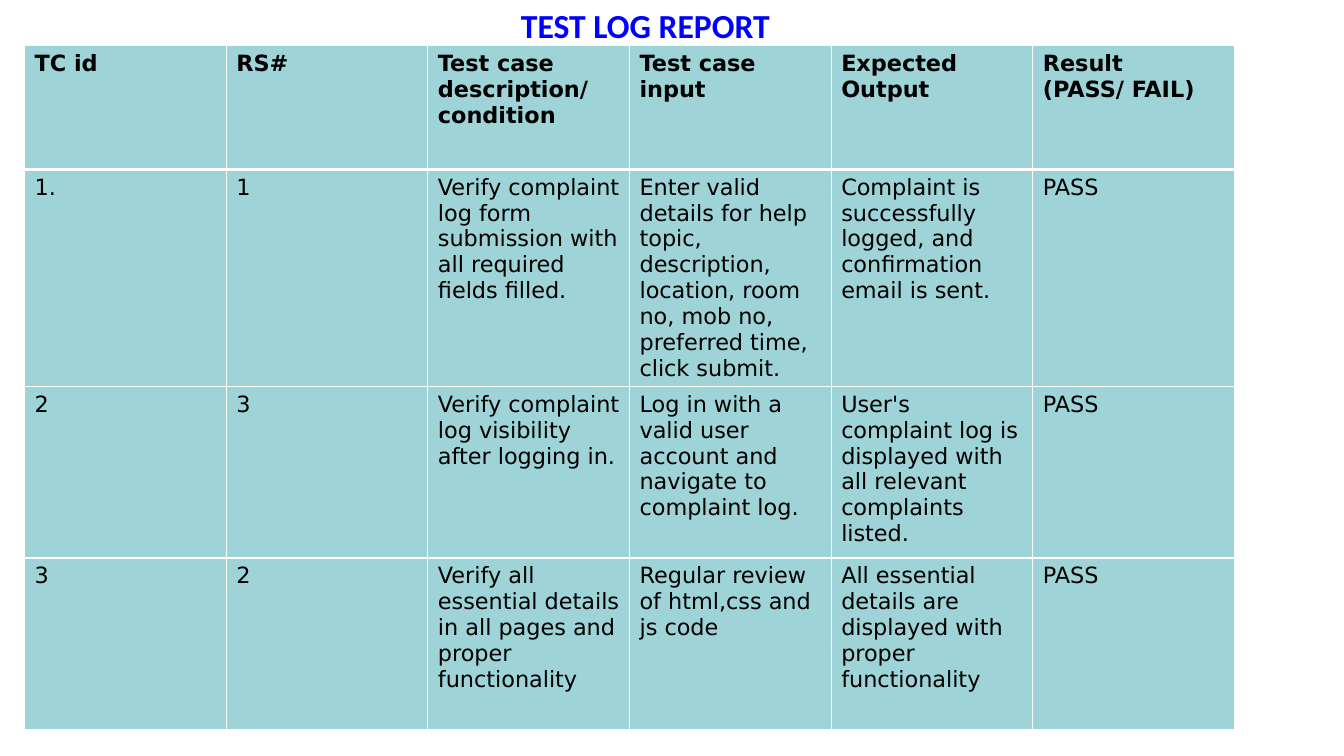
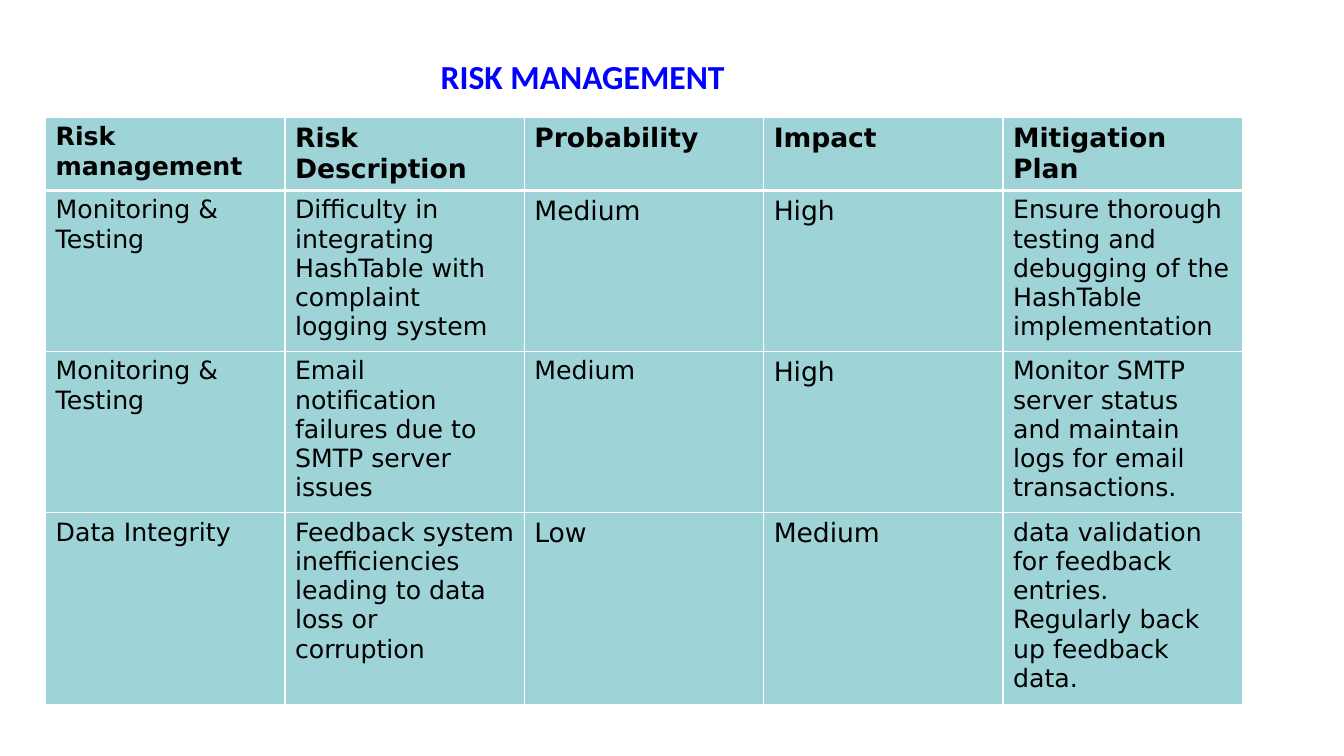
from lxml.etree import SubElement
from pptx import Presentation
from pptx.dml.color import RGBColor
from pptx.enum.text import MSO_ANCHOR, MSO_AUTO_SIZE, PP_ALIGN
from pptx.oxml.ns import qn
from pptx.util import Cm, Pt


def rgb(color):
    """Turn a hex string into a colour."""
    return RGBColor.from_string(color)


class Deck:
    """Hold the shared style and the current slide."""

    BLUE, TEAL, WHITE, BLACK = "0000FF", "9ED3D7", "FFFFFF", "000000"
    TITLE_FONT, TABLE_FONT = "Calibri", "DejaVu Sans"

    def __init__(self):
        """Start a widescreen presentation."""
        self.prs = Presentation()
        self.prs.slide_width, self.prs.slide_height = Cm(33.86), Cm(19.05)

    def set_font(self, p, name, size, color, bold):
        """Format all runs of a paragraph."""
        font = p.font
        font.name, font.size, font.bold = name, Pt(size), bold
        font.color.rgb = rgb(color)

    def slide(self, title, box, align):
        """Add a slide with its title."""
        self.s = self.prs.slides.add_slide(self.prs.slide_layouts[5])
        sp = self.s.shapes.title
        sp.left, sp.top, sp.width, sp.height = (Cm(v) for v in box)
        tf = sp.text_frame
        tf.text = title
        tf.word_wrap = True
        tf.auto_size = MSO_AUTO_SIZE.NONE
        tf.vertical_anchor = MSO_ANCHOR.TOP
        p = tf.paragraphs[0]
        p.alignment = align
        self.set_font(p, self.TITLE_FONT, 24, self.BLUE, True)

    def border(self, cell, side, width):
        """Draw one side of a cell."""
        ln = SubElement(cell._tc.get_or_add_tcPr(), qn(f"a:ln{side}"), w=str(Pt(width)))
        SubElement(SubElement(ln, qn("a:solidFill")), qn("a:srgbClr"), val=self.WHITE)

    def table(self, left, top, col_width, heights, rows, size, larger=()):
        """Add a table; cells listed in larger are one point bigger."""
        n = len(rows[0])
        tbl = self.s.shapes.add_table(len(rows), n, Cm(left), Cm(top),
                                      Cm(col_width * n), Cm(sum(heights))).table
        tbl.horz_banding = False
        for col in tbl.columns:
            col.width = Cm(col_width)
        for i, (row, height) in enumerate(zip(rows, heights)):
            tbl.rows[i].height = Cm(height)
            for j, text in enumerate(row):
                cell = tbl.cell(i, j)
                cell.text = text
                for p in cell.text_frame.paragraphs:
                    self.set_font(p, self.TABLE_FONT, size + ((i, j) in larger),
                                  self.BLACK, i == 0)
                for side in "LRTB":
                    under_header = (i, side) in ((0, "B"), (1, "T"))
                    self.border(cell, side, 3 if under_header else 1)
                cell.fill.solid()
                cell.fill.fore_color.rgb = rgb(self.TEAL)


TESTS = [
    ["TC id", "RS#", "Test case description/\ncondition", "Test case input",
     "Expected\nOutput", "Result\n(PASS/ FAIL)"],
    ["1.", "1", "Verify complaint log form submission with all required fields filled.",
     "Enter valid details for help topic, description, location, room no, mob no, "
     "preferred time, click submit.",
     "Complaint is successfully logged, and confirmation email is sent.", "PASS"],
    ["2", "3", "Verify complaint log visibility after logging in.",
     "Log in with a valid user account and navigate to complaint log.",
     "User's complaint log is displayed with all relevant complaints listed.", "PASS"],
    ["3", "2", "Verify all essential details in all pages and proper functionality",
     "Regular review of html,css and js code",
     "All essential details are displayed with proper functionality", "PASS"],
]

RISKS = [
    ["Risk management", "Risk Description", "Probability", "Impact", "Mitigation Plan"],
    ["Monitoring & Testing",
     "Difficulty in integrating HashTable with complaint logging system", "Medium", "High",
     "Ensure thorough testing and debugging of the HashTable implementation"],
    ["Monitoring & Testing",
     "Email notification failures due to SMTP server issues", "Medium", "High",
     "Monitor SMTP server status and maintain logs for email transactions."],
    ["Data Integrity",
     "Feedback system inefficiencies leading to data loss or corruption", "Low", "Medium",
     "data validation for feedback entries. Regularly back up feedback data."],
]
LARGER_RISKS = {(0, 1), (0, 2), (0, 3), (0, 4), (1, 2), (1, 3), (2, 3), (3, 2), (3, 3)}


def main():
    """Build both slides and save them."""
    deck = Deck()
    deck.slide("TEST LOG REPORT", (1.02, 0, 30.48, 1.9), PP_ALIGN.CENTER)
    deck.table(0.62, 1.15, 5.08, [3.12, 5.46, 4.32, 4.32], TESTS, 16)
    deck.slide("RISK MANAGEMENT", (10.85, 1.27, 8.4, 1.27), PP_ALIGN.LEFT)
    deck.table(1.15, 2.96, 6.03, [1.84, 4.06, 4.06, 4.84], RISKS, 18, LARGER_RISKS)
    deck.prs.save("out.pptx")


if __name__ == "__main__":
    main()
